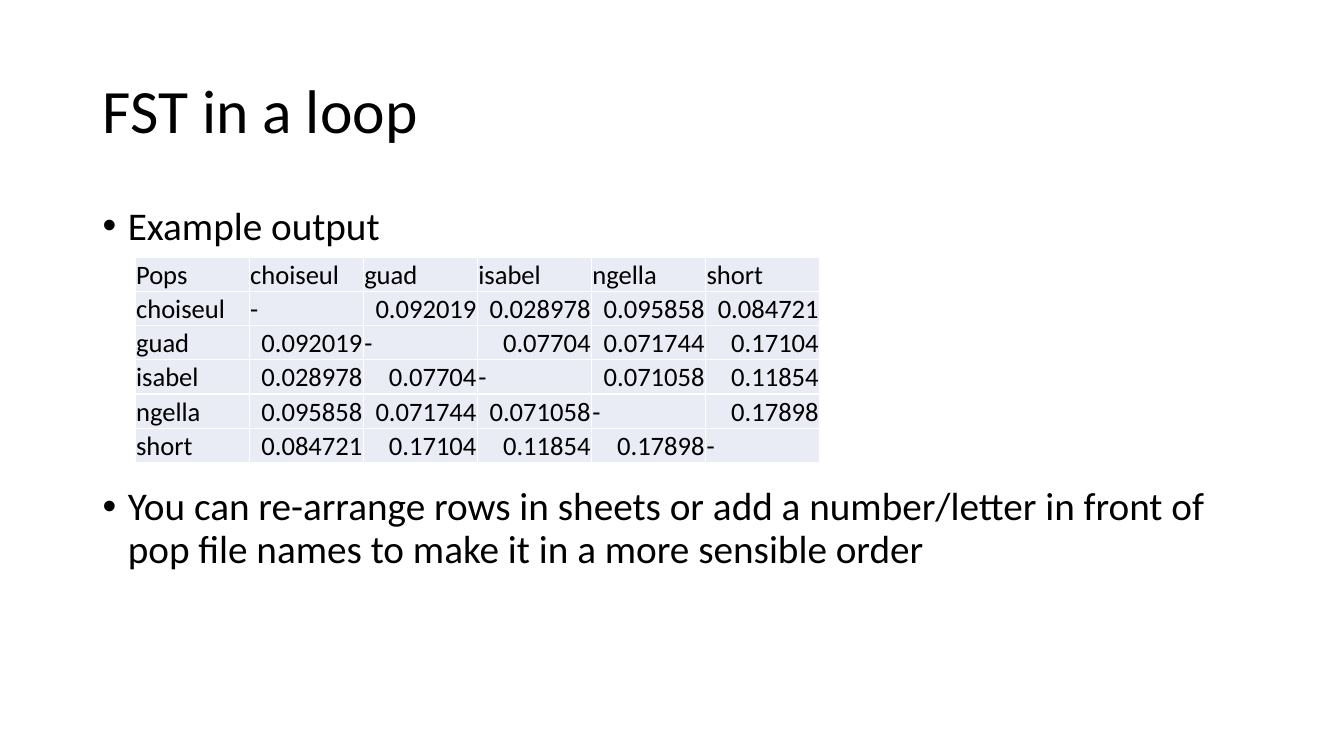
from itertools import combinations
from lxml.etree import SubElement
from pptx import Presentation
from pptx.dml.color import RGBColor
from pptx.enum.text import MSO_ANCHOR, PP_ALIGN
from pptx.oxml.ns import qn
from pptx.util import Inches, Pt

BLACK = RGBColor(0, 0, 0)
WHITE = RGBColor(255, 255, 255)
PALE = RGBColor(0xE9, 0xEB, 0xF5)
FONT = "Calibri"

POPS = ["choiseul", "guad", "isabel", "ngella", "short"]
# Pairwise FST, in the order of combinations(POPS, 2)
FST = ["0.092019", "0.028978", "0.095858", "0.084721", "0.07704",
       "0.071744", "0.17104", "0.071058", "0.11854", "0.17898"]


def write(para, text, size=28, align=PP_ALIGN.LEFT, line=1.0, before=0, bullet=False):
    para.alignment = align
    para.line_spacing = line
    para.space_before = Pt(before)
    run = para.add_run()
    run.text = text
    run.font.size = Pt(size)
    run.font.name = FONT
    run.font.color.rgb = BLACK
    if bullet:
        props = para._p.get_or_add_pPr()
        props.set("marL", str(Inches(0.25)))
        props.set("indent", str(-Inches(0.25)))
        SubElement(props, qn("a:buFont"), typeface="Arial")
        SubElement(props, qn("a:buChar"), char="•")


def add_title(slide, x, y, w, h):
    title = slide.shapes.title
    title.left, title.top, title.width, title.height = map(Inches, (x, y, w, h))
    frame = title.text_frame
    frame.word_wrap = True
    frame.vertical_anchor = MSO_ANCHOR.MIDDLE
    write(frame.paragraphs[0], "FST in a loop", size=44, line=0.9)


def add_body(slide, x, y, w, h):
    frame = slide.shapes.add_textbox(*map(Inches, (x, y, w, h))).text_frame
    frame.word_wrap = True
    write(frame.paragraphs[0], "Example output", line=0.9, bullet=True)
    # The space before the second point leaves room for the table
    write(frame.add_paragraph(),
          "You can re-arrange rows in sheets or add a number/letter in front of "
          "pop file names to make it in a more sensible order",
          line=0.9, before=170, bullet=True)


def add_edges(cell):
    props = cell._tc.get_or_add_tcPr()
    for side in ("lnL", "lnR", "lnT", "lnB"):
        edge = SubElement(props, qn("a:" + side), w=str(Pt(1)))
        fill = SubElement(edge, qn("a:solidFill"))
        SubElement(fill, qn("a:srgbClr"), val=str(WHITE))


def fill_cell(cell, text):
    add_edges(cell)
    cell.fill.solid()
    cell.fill.fore_color.rgb = PALE
    cell.margin_left = cell.margin_right = cell.margin_top = Inches(0.01)
    cell.margin_bottom = 0
    cell.vertical_anchor = MSO_ANCHOR.BOTTOM
    align = PP_ALIGN.RIGHT if text[0].isdigit() else PP_ALIGN.LEFT
    write(cell.text_frame.paragraphs[0], text, size=19, align=align)


def add_matrix(slide, x, y, w, h):
    # The matrix is symmetric, with dashes on the diagonal
    pairs = {frozenset(pair): val for pair, val in zip(combinations(POPS, 2), FST)}
    rows = [["Pops"] + POPS]
    rows += [[a] + [pairs.get(frozenset((a, b)), "-") for b in POPS] for a in POPS]
    count = len(rows)
    table = slide.shapes.add_table(count, count, *map(Inches, (x, y, w, h))).table
    table.first_row = table.horz_banding = False
    for col in table.columns:
        col.width = Inches(w / count)
    for row, texts in zip(table.rows, rows):
        row.height = Inches(h / count)
        for cell, text in zip(row.cells, texts):
            fill_cell(cell, text)


def main():
    deck = Presentation()
    deck.slide_width, deck.slide_height = Inches(13.33), Inches(7.5)
    slide = deck.slides.add_slide(deck.slide_layouts[5])
    add_title(slide, 0.92, 0.4, 11.5, 1.45)
    add_body(slide, 0.92, 2, 11.5, 4.76)
    add_matrix(slide, 1.34, 2.55, 6.79, 2.04)
    deck.save("out.pptx")


if __name__ == "__main__":
    main()
